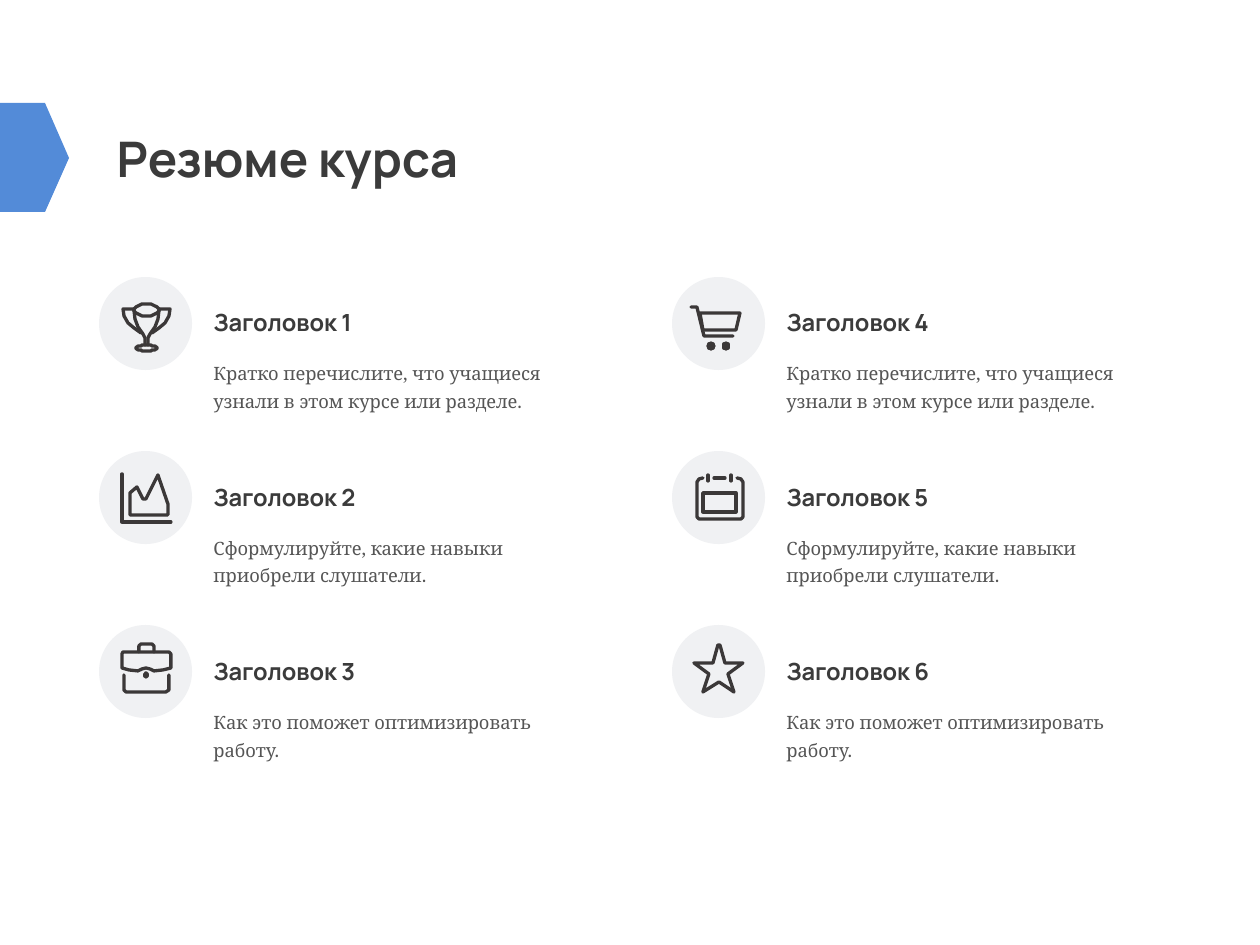
"""Build the course summary slide with six illustrated points."""
from math import cos, pi, sin
from lxml.etree import SubElement
from pptx import Presentation
from pptx.dml.color import RGBColor
from pptx.enum.shapes import MSO_SHAPE
from pptx.enum.text import MSO_ANCHOR, MSO_AUTO_SIZE, PP_ALIGN
from pptx.oxml.ns import qn
from pptx.util import Inches, Pt

BLUE = RGBColor(0x53, 0x8B, 0xD8)
PALE = RGBColor(0xF0, 0xF1, 0xF3)
INK = RGBColor(0x3B, 0x38, 0x38)
HEADING = RGBColor(0x3B, 0x3B, 0x3B)
GREY = RGBColor(0x55, 0x55, 0x55)
PIXEL = Inches(1) / 126

TITLE = "Резюме курса"
TEXTS = [
    "Кратко перечислите, что учащиеся узнали в этом курсе или разделе.",
    "Сформулируйте, какие навыки приобрели слушатели.",
    "Как это поможет оптимизировать работу.",
]
TITLE_FORMAT = {"name": "Manrope", "size": Pt(28), "bold": True}
HEADING_FORMAT = {"name": "Manrope", "size": Pt(13.5), "bold": True}
TEXT_FORMAT = {"name": "Noto Serif", "size": Pt(10.5), "bold": False}
PENTAGON = [(0, 103), (45, 103), (69, 158), (45, 212), (0, 212)]

TROPHY = {
    "rings": [(47.5, 33, 12.5, 6), (47.5, 71, 10.5, 3)],
    "open": [
        [(35, 33), (36, 42), (39, 50), (44, 57), (46, 61), (46, 68)],
        [(60, 33), (59, 42), (56, 50), (51, 57), (49, 61), (49, 68)],
        [(35, 32), (24, 32), (25, 39), (29, 46), (35, 51), (42, 56)],
        [(60, 32), (71, 32), (70, 39), (66, 46), (60, 51), (53, 56)],
    ],
}
CHART = {
    "open": [[(23, 23), (23, 71), (72, 71)]],
    "closed": [[(31, 64), (31, 42), (38, 36), (44, 48), (47, 48),
                (59, 24), (69, 53), (69, 64)]],
}
BRIEFCASE = {
    "rings": [(47, 50, 1.5, 1.5)],
    "open": [
        [(40, 27), (40, 21), (42, 19), (53, 19), (55, 21), (55, 27)],
        [(25, 50), (25, 65), (27, 67), (67, 67), (70, 65), (70, 50)],
    ],
    "closed": [[(24, 27), (70, 27), (72, 29), (72, 43), (64, 45), (55, 46),
                (51, 44), (47, 43), (43, 44), (39, 46), (30, 45), (23, 43),
                (23, 29)]],
}
CART = {
    "rings": [(39, 69, 2.5, 2.5), (54, 69, 2.5, 2.5)],
    "open": [[(19, 30), (25, 30), (32, 59), (61, 59)]],
    "closed": [[(28, 36), (68, 36), (64, 53), (31, 53)]],
}
CALENDAR = {
    "open": [
        [(31, 27), (27, 28), (25, 31), (25, 66), (27, 68), (69, 68),
         (71, 66), (71, 31), (69, 28), (65, 27)],
        [(42, 27), (53, 27)],
        [(36, 24), (36, 30)],
        [(59, 24), (59, 30)],
    ],
    "closed": [[(31, 42), (64, 42), (64, 61), (31, 61)]],
}
STAR = {
    "closed": [[(46, 20), (48, 20), (53, 38), (71, 38), (56, 49), (62, 67),
                (47, 57), (31, 67), (37, 49), (22, 38), (41, 38)]],
}
COLUMNS = [(99, [TROPHY, CHART, BRIEFCASE]), (672, [CART, CALENDAR, STAR])]
CIRCLE_TOP, CIRCLE_PITCH, CIRCLE_SIZE = 277, 174, 93
TEXT_TOP, TEXT_PITCH, TEXT_OFFSET, TEXT_WIDTH = 299, 174.5, 102, 387


def emu(*pixels):
    return [round(pixel * PIXEL) for pixel in pixels]


def paint(shape, fill=None, line=None):
    shape.shadow.inherit = False
    if fill is None:
        shape.fill.background()
    else:
        shape.fill.solid()
        shape.fill.fore_color.rgb = fill
    if line is None:
        shape.line.fill.background()
    else:
        shape.line.color.rgb = line
        shape.line.width = Pt(1.9)
        outline = shape.line._get_or_add_ln()
        outline.set("cap", "rnd")
        SubElement(outline, qn("a:round"))


def ring_points(x, y, radius_x, radius_y, steps=32):
    angles = [2 * pi * step / steps for step in range(steps)]
    return [(x + radius_x * cos(angle), y + radius_y * sin(angle)) for angle in angles]


def add_outline(shapes, contours, left=0, top=0, **colors):
    builder = shapes.build_freeform(*contours[0][0][0], scale=PIXEL)
    for index, (points, close) in enumerate(contours):
        if index:
            builder.move_to(*points[0])
        builder.add_line_segments(points[1:], close=close)
    paint(builder.convert_to_shape(*emu(left, top)), **colors)


def add_icon(slide, icon, left, top):
    shapes = slide.shapes.add_group_shape().shapes
    circle = shapes.add_shape(MSO_SHAPE.OVAL, *emu(left, top, CIRCLE_SIZE, CIRCLE_SIZE))
    paint(circle, fill=PALE)
    contours = [(ring_points(*ring), True) for ring in icon.get("rings", [])]
    contours += [(points, False) for points in icon.get("open", [])]
    contours += [(points, True) for points in icon.get("closed", [])]
    add_outline(shapes, contours, left, top, line=INK)


def write(shape, text, font_format, color, spacing):
    frame = shape.text_frame
    frame.text = text
    frame.word_wrap = True
    frame.auto_size = MSO_AUTO_SIZE.NONE
    frame.vertical_anchor = MSO_ANCHOR.TOP
    paragraph = frame.paragraphs[0]
    paragraph.alignment = PP_ALIGN.LEFT
    paragraph.line_spacing = spacing
    font = paragraph.runs[0].font
    for name, value in font_format.items():
        setattr(font, name, value)
    font.color.rgb = color


def add_text(slide, box, *content):
    write(slide.shapes.add_textbox(*emu(*box)), *content)


presentation = Presentation()
presentation.slide_width, presentation.slide_height = Inches(10), Inches(7.5)
slide = presentation.slides.add_slide(presentation.slide_layouts[5])
title = slide.shapes.title
title.left, title.top, title.width, title.height = emu(104, 116, 890, 71)
write(title, TITLE, TITLE_FORMAT, HEADING, 1.1)
add_outline(slide.shapes, [(PENTAGON, True)], fill=BLUE)

number = 0
for left, icons in COLUMNS:
    for row, (icon, text) in enumerate(zip(icons, TEXTS)):
        number += 1
        add_icon(slide, icon, left, CIRCLE_TOP + row * CIRCLE_PITCH)
        text_left, top = left + TEXT_OFFSET, TEXT_TOP + row * TEXT_PITCH
        add_text(slide, (text_left, top, TEXT_WIDTH, 47),
                 f"Заголовок {number}", HEADING_FORMAT, HEADING, 1.1)
        add_text(slide, (text_left, top + 51.5, TEXT_WIDTH, 106),
                 text, TEXT_FORMAT, GREY, 1.25)

presentation.save("out.pptx")
